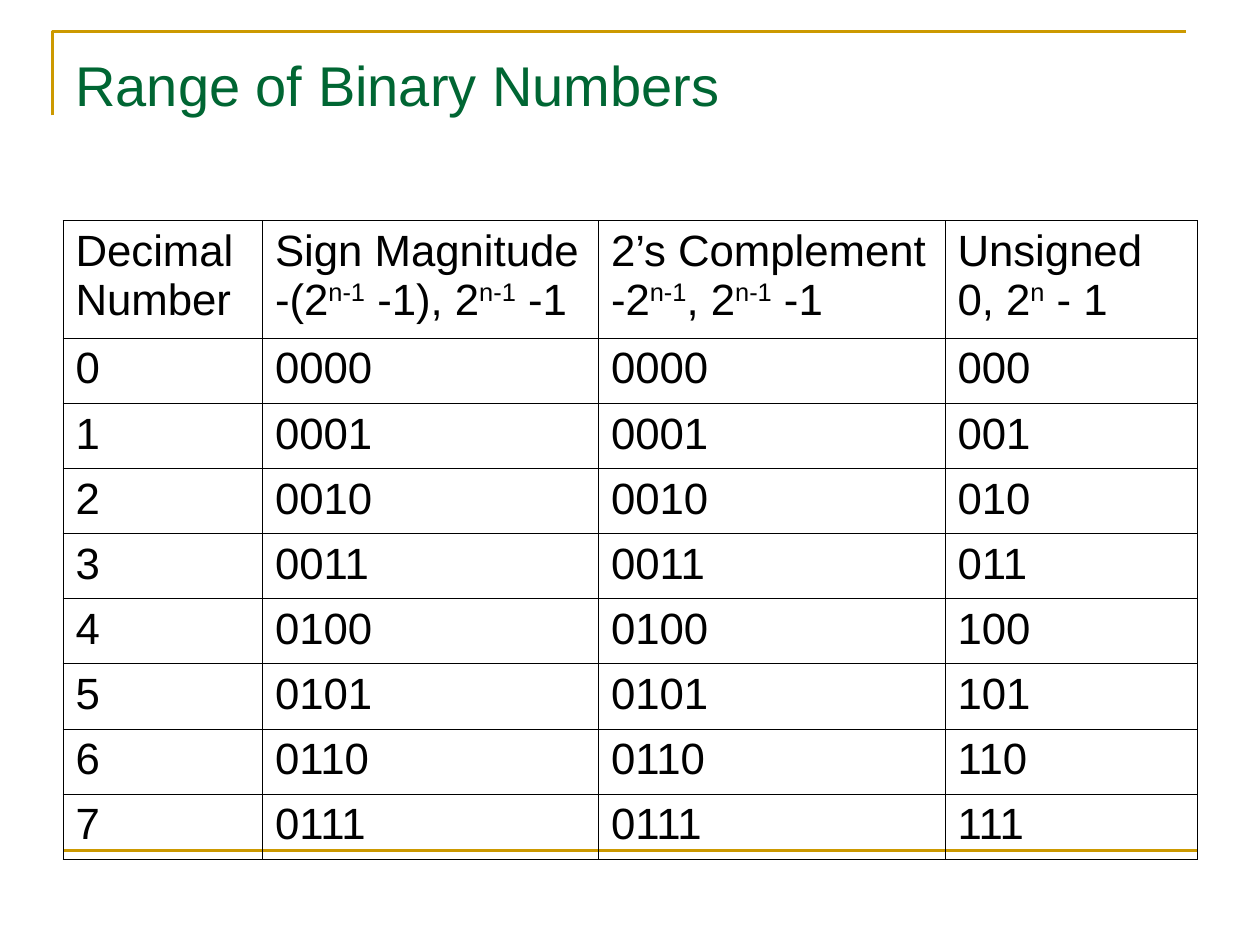
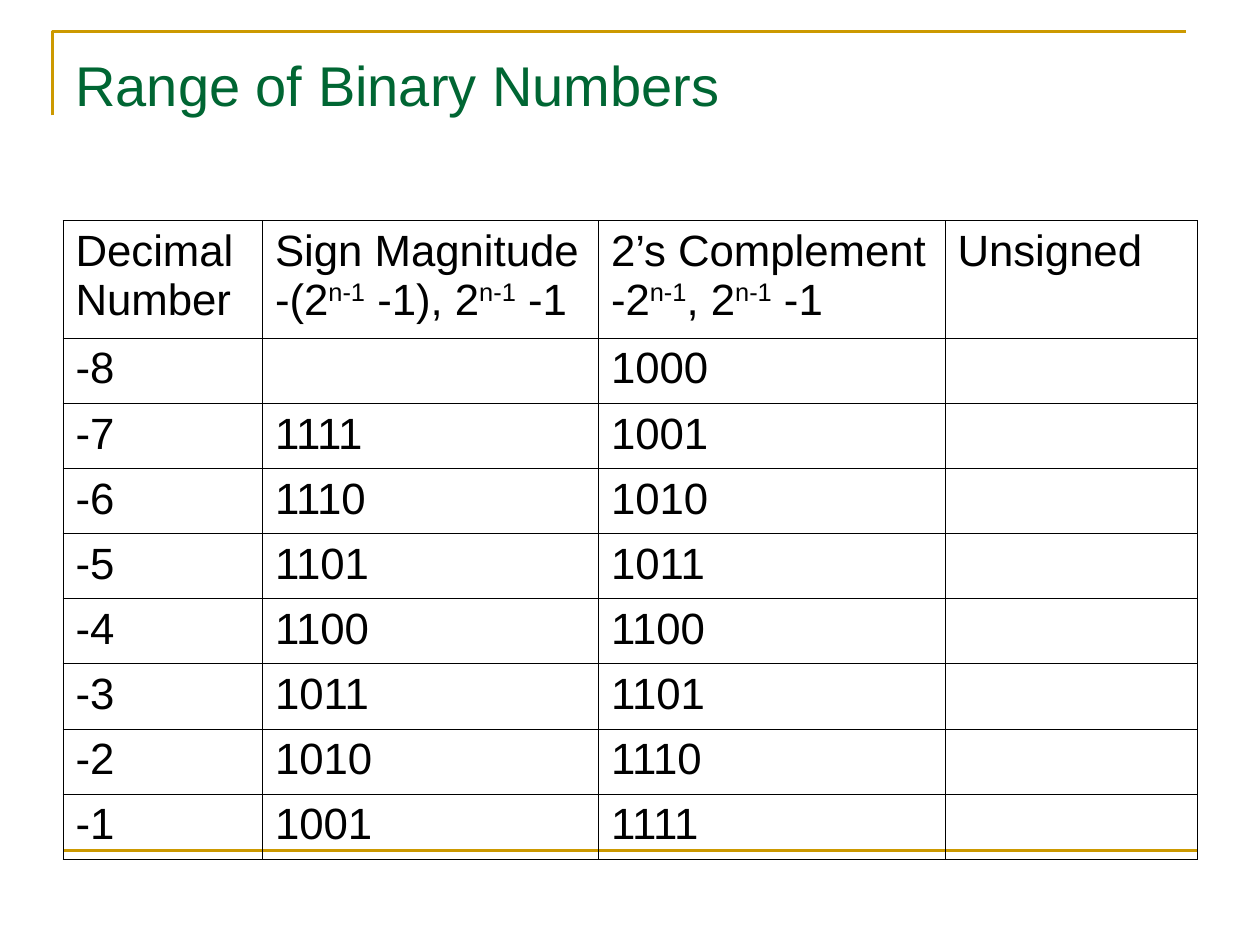
from dataclasses import dataclass

from lxml import etree
from pptx import Presentation
from pptx import util as u
from pptx.dml.color import RGBColor
from pptx.enum import shapes, text
from pptx.oxml import ns


@dataclass(frozen=True)
class Theme:
    font: str = "Arial"
    title_color: str = "006633"
    rule_color: str = "CC9900"
    ink: str = "000000"
    title_size: float = 32
    table_size: float = 25
    rule_width: float = 1.5
    border_width: float = 0.45
    plain_table: str = "{2D5ABB26-0587-4C30-8999-92F81FD0307C}"


class Pages:
    COLUMNS, ROWS = 120, 90

    def __init__(self, theme):
        self.theme = theme
        self.deck = Presentation()
        self.deck.slide_width = u.Inches(10)
        self.deck.slide_height = u.Inches(7.5)
        self.page = None

    def x(self, columns):
        return u.Emu(round(self.deck.slide_width * columns / self.COLUMNS))

    def y(self, rows):
        return u.Emu(round(self.deck.slide_height * rows / self.ROWS))

    def area(self, left, top, width, height):
        return self.x(left), self.y(top), self.x(width), self.y(height)

    def add_page(self, title):
        self.page = self.deck.slides.add_slide(self.deck.slide_layouts[6])
        self.corner((5, 11), (5, 3), (113, 3))
        self.rule(6, 81, 108)
        self.title(title, 6, 3.6, 108, 15)

    def style_line(self, line):
        line.color.rgb = RGBColor.from_string(self.theme.rule_color)
        line.width = u.Pt(self.theme.rule_width)

    def style_font(self, para, size, color):
        para.font.name = self.theme.font
        para.font.size = u.Pt(size)
        para.font.color.rgb = RGBColor.from_string(color)

    def corner(self, *points):
        start, *rest = [(self.x(column), self.y(row)) for column, row in points]
        builder = self.page.shapes.build_freeform(*start)
        builder.add_line_segments(rest, close=False)
        corner = builder.convert_to_shape()
        corner.shadow.inherit = False
        corner.fill.background()
        self.style_line(corner.line)

    def rule(self, left, top, width):
        rule = self.page.shapes.add_connector(
            shapes.MSO_CONNECTOR.STRAIGHT,
            self.x(left), self.y(top), self.x(left + width), self.y(top))
        etree.SubElement(rule._element.spPr, ns.qn("a:effectLst"))
        self.style_line(rule.line)

    def title(self, wording, *area):
        box = self.page.shapes.add_textbox(*self.area(*area))
        frame = box.text_frame
        frame.word_wrap = True
        frame.margin_top = u.Inches(0.1)
        frame.vertical_anchor = text.MSO_ANCHOR.TOP
        para = frame.paragraphs[0]
        para.text = wording
        self.style_font(para, self.theme.title_size, self.theme.title_color)

    def table(self, left, top, widths, heights, records):
        shape = self.page.shapes.add_table(
            len(heights), len(widths),
            *self.area(left, top, sum(widths), sum(heights)))
        table = shape.table
        table.first_row = table.horz_banding = False
        table._tbl.tblPr.find(ns.qn("a:tableStyleId")).text = self.theme.plain_table
        for column, width in zip(table.columns, widths):
            column.width = self.x(width)
        for row, height, record in zip(table.rows, heights, records):
            row.height = self.y(height)
            for cell, wording in zip(row.cells, record):
                self.cell(cell, wording)

    def cell(self, cell, wording):
        self.borders(cell)
        cell.fill.background()
        frame = cell.text_frame
        for index, line in enumerate(wording.split("\n")):
            para = frame.add_paragraph() if index else frame.paragraphs[0]
            para.alignment = text.PP_ALIGN.JUSTIFY
            self.style_font(para, self.theme.table_size, self.theme.ink)
            self.spans(para, line)

    def spans(self, para, line):
        for index, part in enumerate(line.split("^")):
            if part:
                span = para.add_run()
                span.text = part
                if index % 2:
                    span._r.get_or_add_rPr().set("baseline", "30000")

    def borders(self, cell):
        properties = cell._tc.get_or_add_tcPr()
        for side in ("lnL", "lnR", "lnT", "lnB"):
            border = etree.SubElement(properties, ns.qn(f"a:{side}"))
            border.set("w", str(u.Pt(self.theme.border_width)))
            fill = etree.SubElement(border, ns.qn("a:solidFill"))
            etree.SubElement(fill, ns.qn("a:srgbClr")).set("val", self.theme.ink)


TITLE = "Range of Binary Numbers"
HEADINGS = [
    "Decimal\nNumber",
    "Sign Magnitude\n-(2^n-1^ -1), 2^n-1^ -1",
    "2’s Complement\n-2^n-1^, 2^n-1^ -1",
]
COLUMN_WIDTHS = [19, 32, 33, 24]
ROW_HEIGHTS = [11.2] + [6.2] * 8


def positive_record(number):
    return [str(number), f"{number:04b}", f"{number:04b}", f"{number:03b}"]


def negative_record(number):
    sign_magnitude = f"{8 - number:04b}" if number > -8 else ""
    return [str(number), sign_magnitude, f"{16 + number:04b}", ""]


def main():
    pages = Pages(Theme())
    ranges = [
        ("Unsigned\n0, 2^n^ - 1", positive_record, range(8)),
        ("Unsigned", negative_record, range(-8, 0)),
    ]
    for unsigned_heading, record, numbers in ranges:
        pages.add_page(TITLE)
        records = [HEADINGS + [unsigned_heading], *map(record, numbers)]
        pages.table(6, 21, COLUMN_WIDTHS, ROW_HEIGHTS, records)
    pages.deck.save("out.pptx")


if __name__ == "__main__":
    main()
